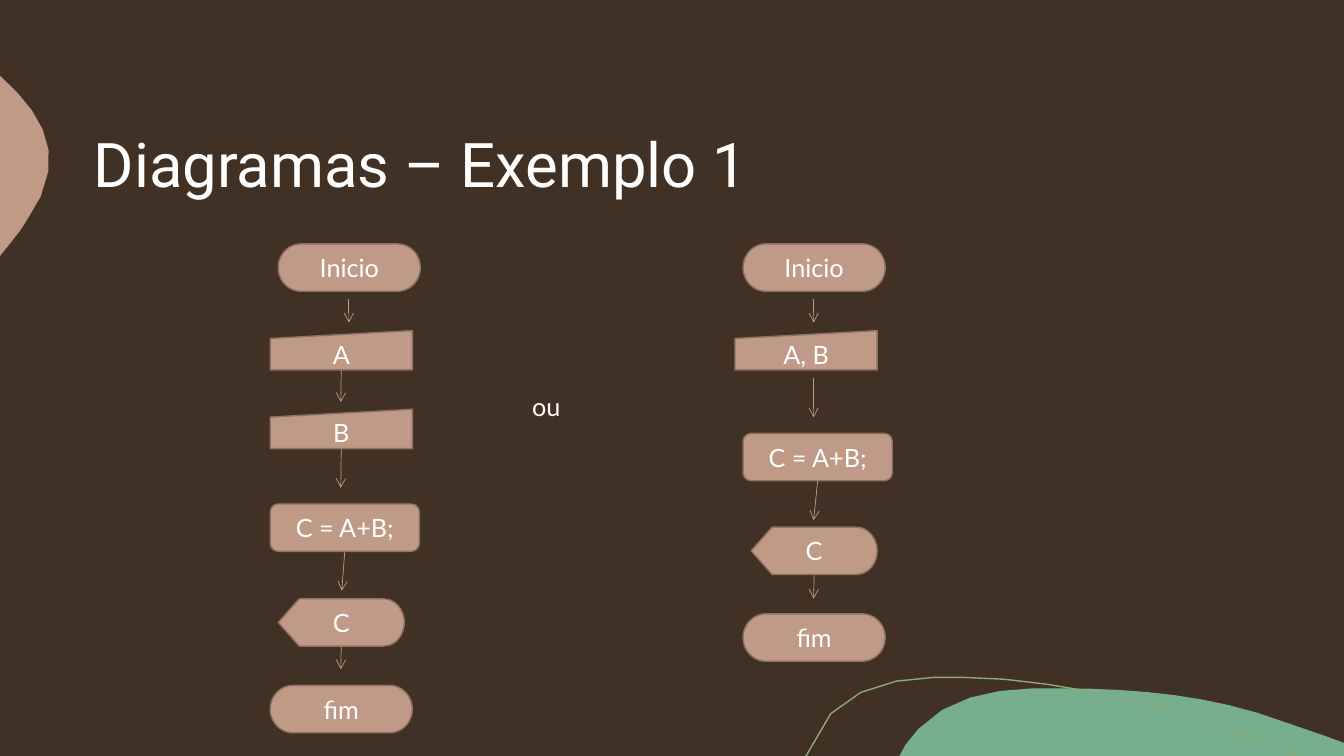
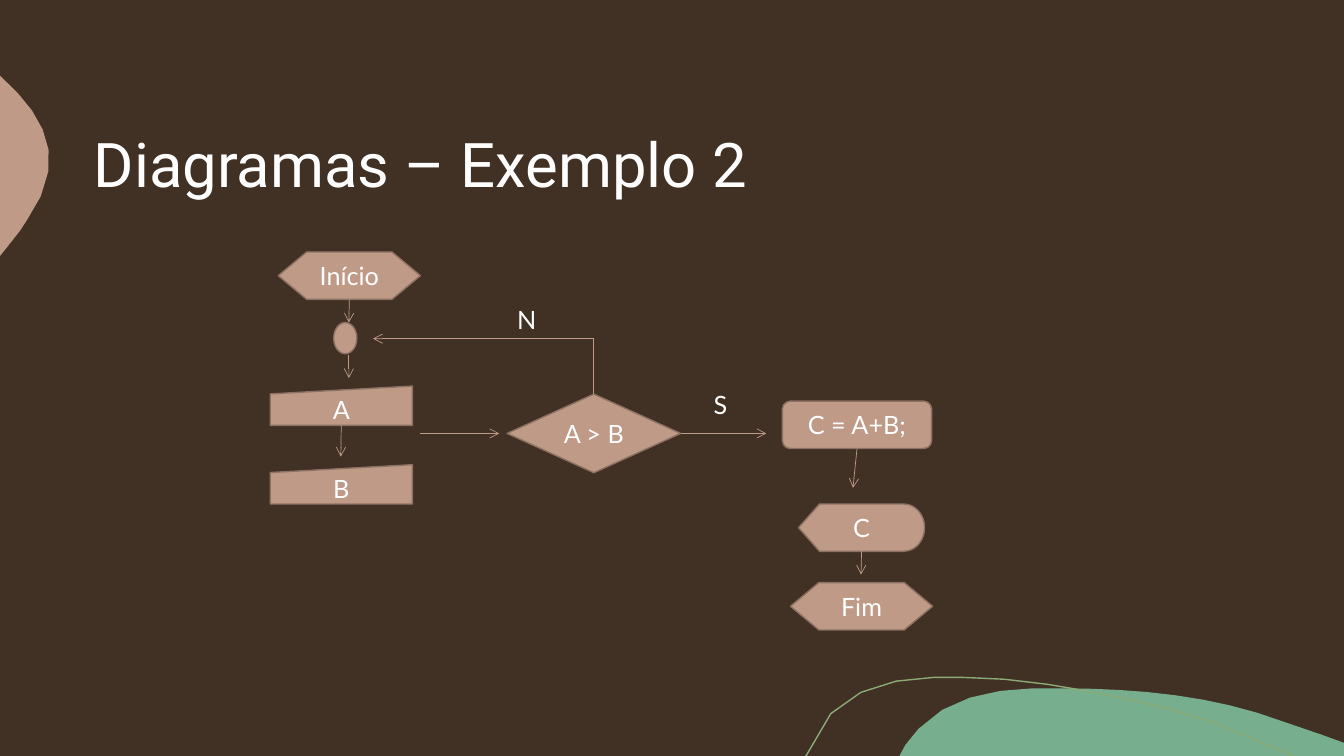
import math

from lxml import etree
from pptx import Presentation
from pptx import util as u
from pptx.dml.color import RGBColor
from pptx.enum import shapes, text
from pptx.oxml.ns import qn

Inches = u.Inches
Kind = shapes.MSO_SHAPE


class Theme:
    back = RGBColor.from_string("413024")
    tan = RGBColor.from_string("BE9A87")
    edge = RGBColor.from_string("8D7264")
    green = RGBColor.from_string("77AE8E")
    vine = RGBColor.from_string("8BAB75")
    white = RGBColor.from_string("FFFFFF")
    head, body = "Roboto", "Lato"
    big, small = u.Pt(44), u.Pt(18)
    rule, thin = u.Pt(1), u.Pt(0.5)


def style(par, name, size):
    par.font.name, par.font.size = name, size
    par.font.color.rgb = Theme.white


def link(slide, start, end, tip=True):
    """Draw a line from a point, or from a (shape, side) pair, to a point."""
    x, y = map(Inches, end)
    line = slide.shapes.add_connector(shapes.MSO_CONNECTOR.STRAIGHT, x, y, x, y)
    if isinstance(start[0], (int, float)):
        line.begin_x, line.begin_y = map(Inches, start)
    else:
        line.begin_connect(*start)
    line.line.color.rgb = Theme.tan
    line.line.width = Theme.thin
    props = line.element.spPr
    if tip:
        etree.SubElement(props.get_or_add_ln(), qn("a:tailEnd"), type="arrow")
    etree.SubElement(props, qn("a:effectLst"))


TOP, LEFT, BOTTOM, RIGHT = range(4)

# Width and height of each kind of symbol
SIZES = {
    Kind.FLOWCHART_TERMINATOR: (1.41, 0.47),
    Kind.FLOWCHART_PREPARATION: (1.41, 0.47),
    Kind.FLOWCHART_MANUAL_INPUT: (1.41, 0.39),
    Kind.FLOWCHART_DISPLAY: (1.25, 0.47),
    Kind.ROUNDED_RECTANGLE: (1.48, 0.47),
    Kind.DIAMOND: (1.72, 0.78),
    Kind.OVAL: (0.23, 0.31),
}

# Fill, line, start, then lines (2 numbers) and Bezier curves (6 numbers)
WAVES = [
    (Theme.green, None, (10.54, 6.83), [
        (11.28, 6.83, 12.04, 6.9, 12.73, 7.16),
        (12.86, 7.2, 12.98, 7.25, 13.11, 7.29),
        (13.33, 7.37), (13.33, 7.5), (8.92, 7.5), (8.98, 7.39),
        (9.02, 7.33, 9.06, 7.28, 9.11, 7.23),
        (9.39, 6.93, 9.82, 6.84, 10.23, 6.83),
        (10.33, 6.83, 10.43, 6.83, 10.54, 6.83)]),
    (Theme.tan, None, (0, 0.75), [
        (0.01, 0.76),
        (0.3, 1.02, 0.54, 1.33, 0.48, 1.7),
        (0.46, 1.87, 0.37, 2.03, 0.27, 2.18),
        (0.24, 2.24, 0.17, 2.33, 0.08, 2.44),
        (0, 2.54)]),
    (None, Theme.vine, (7.99, 7.5), [
        (8, 7.49),
        (8.06, 7.33, 8.14, 7.19, 8.24, 7.08),
        (8.5, 6.81, 8.89, 6.73, 9.26, 6.72),
        (9.55, 6.72),
        (10.22, 6.72, 11, 6.89, 11.55, 7.02),
        (12.09, 7.15, 12.26, 7.27, 12.83, 7.5)]),
]

# Nodes: kind, text, left, top, links out as (side, end, arrowhead)
# Loose: links between two points; notes: text, left, top, width
SLIDES = [
    {
        "title": "Diagramas – Exemplo 1",
        "nodes": [
            (Kind.FLOWCHART_TERMINATOR, "Inicio", 2.76, 2.42, []),
            (Kind.FLOWCHART_MANUAL_INPUT, "A", 2.68, 3.28, [(BOTTOM, (3.38, 3.99), True)]),
            (Kind.FLOWCHART_MANUAL_INPUT, "B", 2.68, 4.06, [(BOTTOM, (3.38, 4.84), True)]),
            (Kind.ROUNDED_RECTANGLE, "C = A+B;", 2.68, 5, [(BOTTOM, (3.39, 5.86), True)]),
            (Kind.FLOWCHART_DISPLAY, "C", 2.76, 5.94, [(BOTTOM, (3.38, 6.64), True)]),
            (Kind.FLOWCHART_TERMINATOR, "fim", 2.68, 6.8, []),
            (Kind.FLOWCHART_TERMINATOR, "Inicio", 7.37, 2.42, []),
            (Kind.FLOWCHART_MANUAL_INPUT, "A, B", 7.29, 3.28, []),
            (Kind.ROUNDED_RECTANGLE, "C = A+B;", 7.37, 4.3, [(BOTTOM, (8.07, 5.16), True)]),
            (Kind.FLOWCHART_DISPLAY, "C", 7.45, 5.23, [(BOTTOM, (8.07, 5.94), True)]),
            (Kind.FLOWCHART_TERMINATOR, "fim", 7.37, 6.09, []),
        ],
        "loose": [
            ((3.46, 2.97), (3.46, 3.2)),
            ((8.07, 2.97), (8.07, 3.2)),
            ((8.07, 3.75), (8.07, 4.14)),
        ],
        "notes": [("ou", 5.18, 3.83, 0.7)],
    },
    {
        "title": "Diagramas – Exemplo 2",
        "nodes": [
            (Kind.FLOWCHART_PREPARATION, "Início", 2.76, 2.5, [(BOTTOM, (3.46, 3.2), True)]),
            (Kind.OVAL, "", 3.31, 3.2, []),
            (Kind.FLOWCHART_MANUAL_INPUT, "A", 2.68, 3.83, [(BOTTOM, (3.38, 4.53), True)]),
            (Kind.FLOWCHART_MANUAL_INPUT, "B", 2.68, 4.61, []),
            (Kind.DIAMOND, "A > B", 5.03, 3.91, [(TOP, (5.89, 3.36), False),
                                                 (RIGHT, (7.6, 4.3), True)]),
            (Kind.ROUNDED_RECTANGLE, "C = A+B;", 7.76, 3.98, [(BOTTOM, (8.46, 4.84), True)]),
            (Kind.FLOWCHART_DISPLAY, "C", 7.92, 5, [(BOTTOM, (8.54, 5.7), True)]),
            (Kind.FLOWCHART_PREPARATION, "Fim", 7.84, 5.78, []),
        ],
        "loose": [
            ((3.46, 3.52), (3.46, 3.75)),
            ((4.17, 4.3), (4.95, 4.3)),
            ((5.89, 3.36), (3.7, 3.36)),
        ],
        "notes": [("S", 6.98, 3.81, 0.47), ("N", 5.03, 2.97, 0.47)],
    },
]

deck = Presentation()
deck.slide_width, deck.slide_height = Inches(13.33), Inches(7.5)
layout = deck.slide_layouts[5]
layout.background.fill.solid()
layout.background.fill.fore_color.rgb = Theme.back
pages = [deck.slides.add_slide(layout) for _ in SLIDES]

# Shared waves: drawn on a page, then moved to the layout
anchor = layout.placeholders[0].element
for fill, rule, start, parts in WAVES:
    # Three steps a curve on average, shared out by length
    tips = [start] + [part[-2:] for part in parts]
    spans = [math.dist(a, b) if len(part) > 2 else 0
             for a, b, part in zip(tips, tips[1:], parts)]
    rate = 3 * sum(span > 0 for span in spans) / sum(spans)
    dots = [start]
    for part, span in zip(parts, spans):
        if not span:
            dots.append(part)
            continue
        ends = list(zip(dots[-1], part[:2], part[2:4], part[4:]))
        count = max(1, round(rate * span))
        for step in range(1, count + 1):
            t = step / count
            s = 1 - t
            dots.append(tuple(a * s**3 + 3 * b * s * s * t + 3 * c * s * t * t + d * t**3
                              for a, b, c, d in ends))
    dots = [(Inches(x), Inches(y)) for x, y in dots]
    pen = pages[0].shapes.build_freeform(*dots[0])
    pen.add_line_segments(dots[1:], close=fill is not None)
    wave = pen.convert_to_shape()
    wave.shadow.inherit = False
    if fill is None:
        wave.fill.background()
        wave.line.color.rgb, wave.line.width = rule, Theme.rule
    else:
        wave.fill.solid()
        wave.fill.fore_color.rgb = fill
        wave.line.fill.background()
    anchor.addprevious(wave.element)

for page, data in zip(pages, SLIDES):
    title = page.shapes.title
    title.left, title.top = Inches(0.83), Inches(0.83)
    title.width, title.height = Inches(11.67), Inches(1.67)
    frame = title.text_frame
    frame.text = data["title"]
    frame.auto_size = text.MSO_AUTO_SIZE.NONE
    frame.vertical_anchor = text.MSO_ANCHOR.MIDDLE
    par = frame.paragraphs[0]
    par.alignment, par.line_spacing = text.PP_ALIGN.LEFT, 0.9
    style(par, Theme.head, Theme.big)

    for kind, words, x, y, outs in data["nodes"]:
        node = page.shapes.add_shape(kind, *map(Inches, (x, y, *SIZES[kind])))
        node.shadow.inherit = False
        node.fill.solid()
        node.fill.fore_color.rgb = Theme.tan
        node.line.color.rgb, node.line.width = Theme.edge, Theme.rule
        if words:
            node.text_frame.text = words
            par = node.text_frame.paragraphs[0]
            par.alignment = text.PP_ALIGN.CENTER
            style(par, Theme.body, Theme.small)
        for side, end, tip in outs:
            link(page, (node, side), end, tip)

    for start, end in data["loose"]:
        link(page, start, end)

    for words, x, y, wide in data["notes"]:
        note = page.shapes.add_textbox(*map(Inches, (x, y, wide, 0.4)))
        frame = note.text_frame
        frame.text = words
        frame.word_wrap = True
        frame.auto_size = text.MSO_AUTO_SIZE.SHAPE_TO_FIT_TEXT
        style(frame.paragraphs[0], Theme.body, Theme.small)

deck.save("out.pptx")
